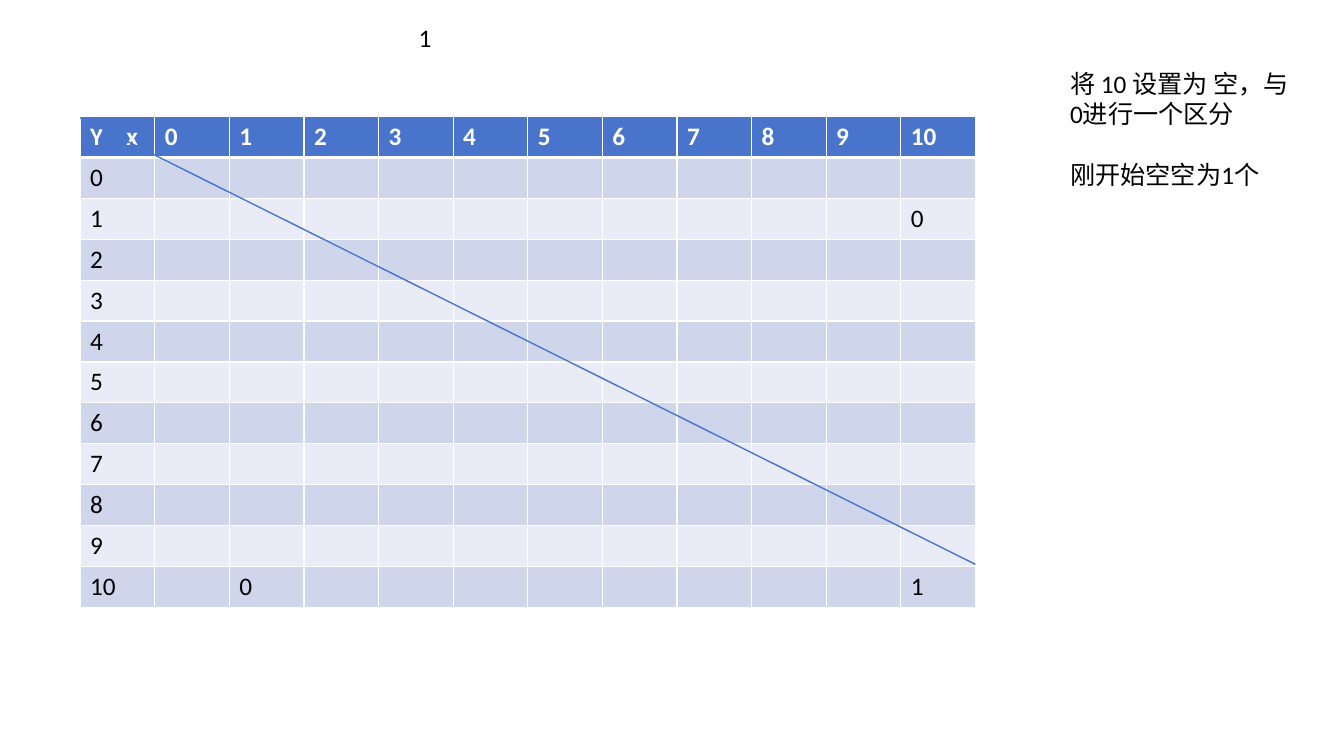
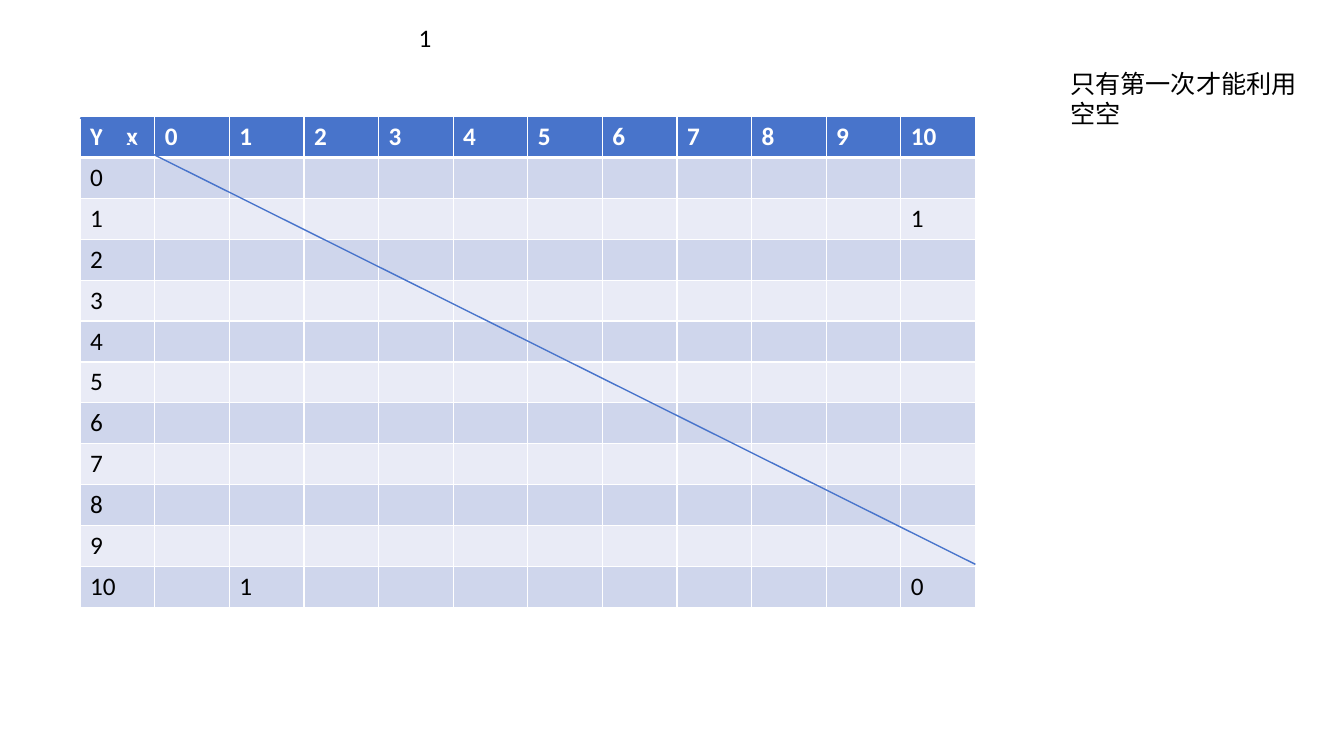
from dataclasses import dataclass

from lxml import etree
from pptx import Presentation
from pptx.dml.color import RGBColor
from pptx.enum.shapes import MSO_CONNECTOR
from pptx.enum.text import MSO_AUTO_SIZE
from pptx.oxml.ns import qn
from pptx.util import Cm, Pt

STRAIGHT = MSO_CONNECTOR.STRAIGHT
GROW = MSO_AUTO_SIZE.SHAPE_TO_FIT_TEXT


@dataclass(frozen=True)
class Theme:
    font: str = "Calibri"
    size: float = 18
    gap: float = 21.5
    thin: float = 1
    thick: float = 3
    blue: str = "4874CB"
    bands: tuple = ("E9EBF6", "CFD6EC")
    white: str = "FFFFFF"
    black: str = "000000"


THEME = Theme()
COUNT = 11
SIDE = COUNT + 1
LEFT, TOP = 2.02, 2.94
COL, ROW = 1.88, 1.03
TAB = 0.91

SLIDES = [
    {
        "marks": {(1, 10): "0", (10, 1): "0", (10, 10): "1"},
        "note": ["将 10 设置为 空，与0进行一个区分", "刚开始空空为1个"],
    },
    {
        "marks": {(1, 10): "1", (10, 1): "1", (10, 10): "0"},
        "note": ["只有第一次才能利用空空"],
    },
]


def apply(target, values):
    for name, value in values.items():
        setattr(target, name, value)


def write(para, text, color, bold=False):
    run = para.add_run()
    run.text = text
    apply(run.font, {"name": THEME.font, "size": Pt(THEME.size), "bold": bold})
    run.font.color.rgb = RGBColor.from_string(color)


def add_text(slide, box, lines):
    frame = slide.shapes.add_textbox(*map(Cm, box)).text_frame
    apply(frame, {"word_wrap": True, "auto_size": GROW})
    for i, line in enumerate(lines):
        para = frame.add_paragraph() if i else frame.paragraphs[0]
        if i:
            para.space_before = Pt(THEME.gap)
        write(para, line, THEME.black)


def set_edges(cell, row):
    props = cell._tc.get_or_add_tcPr()
    widths = {
        "a:lnL": THEME.thin,
        "a:lnR": THEME.thin,
        "a:lnT": THEME.thick if row == 1 else THEME.thin,
        "a:lnB": THEME.thick if row == 0 else THEME.thin,
    }
    for tag, width in widths.items():
        edge = etree.SubElement(props, qn(tag), w=str(Pt(width)))
        fill = etree.SubElement(edge, qn("a:solidFill"))
        etree.SubElement(fill, qn("a:srgbClr"), val=THEME.white)


def add_tab(para):
    stops = etree.SubElement(para._p.get_or_add_pPr(), qn("a:tabLst"))
    etree.SubElement(stops, qn("a:tab"), pos=str(Cm(TAB)), algn="l")


def fill_cell(cell, row, text):
    head = row == 0
    set_edges(cell, row)
    cell.fill.solid()
    color = THEME.blue if head else THEME.bands[row % 2]
    cell.fill.fore_color.rgb = RGBColor.from_string(color)
    para = cell.text_frame.paragraphs[0]
    para.font.size = Pt(THEME.size)
    if "\t" in text:
        add_tab(para)
    if text:
        write(para, text, THEME.white if head else THEME.black, head)


def add_grid(slide, marks):
    box = map(Cm, (LEFT, TOP, COL * SIDE, ROW * SIDE))
    table = slide.shapes.add_table(SIDE, SIDE, *box).table
    apply(table, {"first_row": False, "horz_banding": False})
    for col in table.columns:
        col.width = Cm(COL)
    for row in table.rows:
        row.height = Cm(ROW)
    labels = {(0, 0): "Y\tx"}
    for n in range(COUNT):
        labels[0, n + 1] = labels[n + 1, 0] = str(n)
    for (y, x), mark in marks.items():
        labels[y + 1, x + 1] = mark
    for y in range(SIDE):
        for x in range(SIDE):
            fill_cell(table.cell(y, x), y, labels.get((y, x), ""))


def add_line(slide, ends):
    line = slide.shapes.add_connector(STRAIGHT, *map(Cm, ends))
    line.line.color.rgb = RGBColor.from_string(THEME.blue)
    line.line.width = Pt(THEME.thin)
    etree.SubElement(line._element.spPr, qn("a:effectLst"))


def main():
    deck = Presentation()
    apply(deck, {"slide_width": Cm(33.87), "slide_height": Cm(19.05)})
    for page in SLIDES:
        slide = deck.slides.add_slide(deck.slide_layouts[6])
        add_grid(slide, page["marks"])
        add_line(slide, (LEFT, 2.97, LEFT + COL * SIDE, 14.22))
        add_text(slide, (10.3, 0.43, 10.23, 1.02), ["1"])
        add_text(slide, (26.72, 1.6, 6.33, 1.8), page["note"])
    deck.save("out.pptx")


if __name__ == "__main__":
    main()
